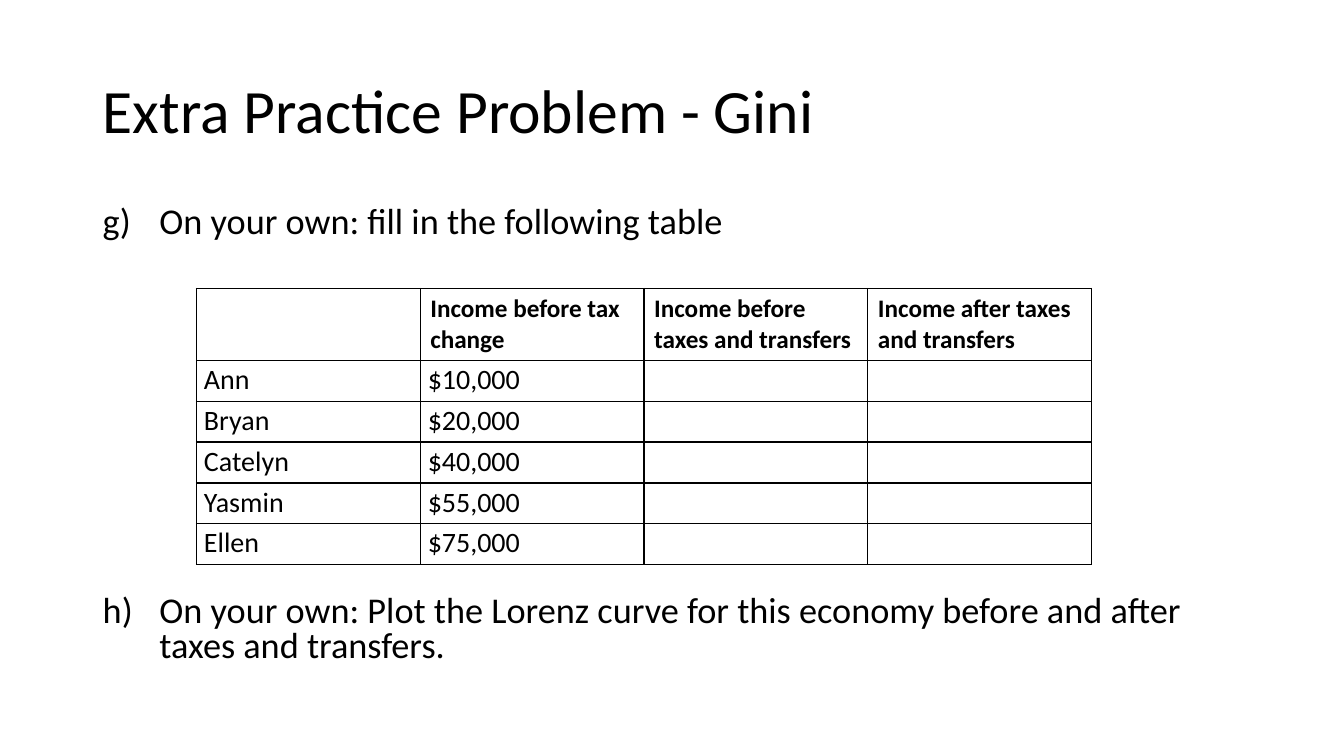
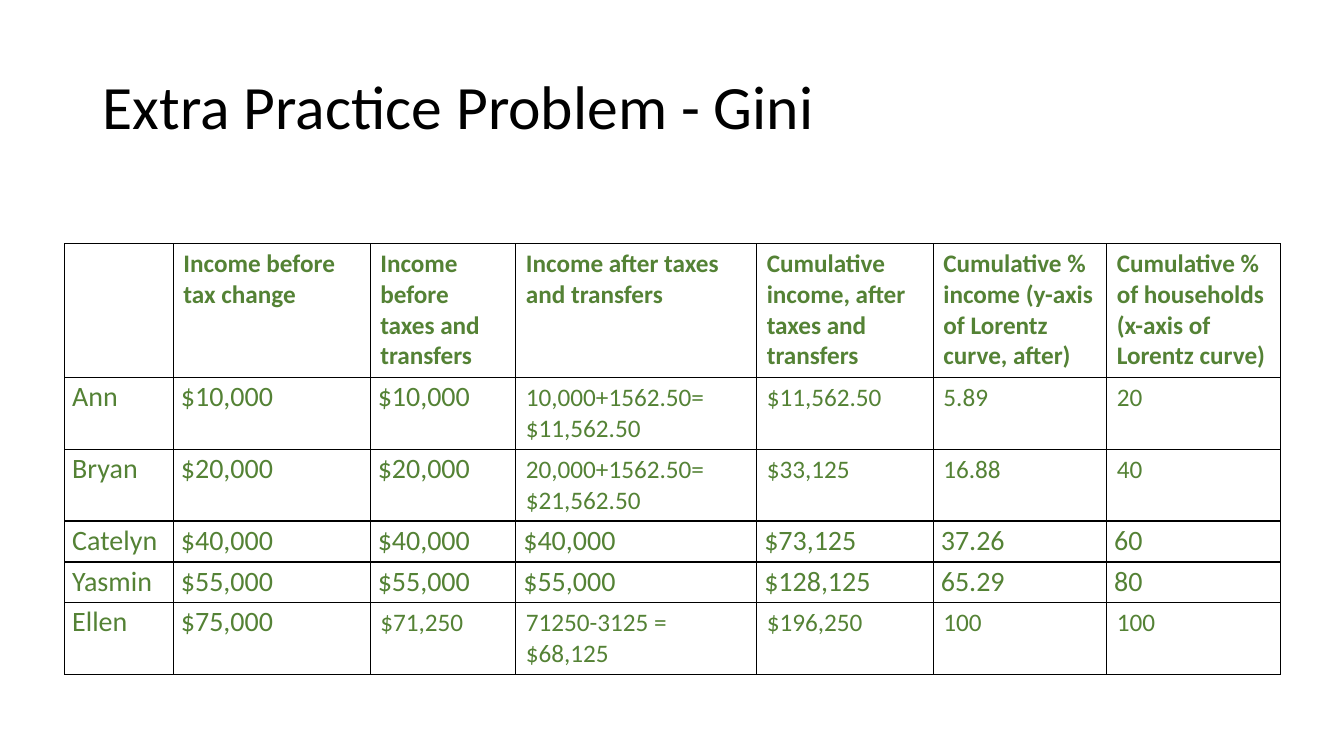
from dataclasses import dataclass

from lxml.etree import SubElement
from pptx import Presentation
from pptx.dml.color import RGBColor
from pptx.enum.text import MSO_ANCHOR
from pptx.oxml.ns import qn
from pptx.slide import Slide
from pptx.util import Cm, Pt

BLACK = RGBColor(0x00, 0x00, 0x00)
GREEN = RGBColor(0x54, 0x82, 0x35)
FONT = "Calibri"
TITLE = "Extra Practice Problem - Gini"
LEFT, WIDTH = 2.34, 29.21  # cm, shared by title and questions


@dataclass
class Row:
    texts: list[str]
    compact: int = 0  # leading cells set larger, with narrow margins
    lines: int = 1
    bold: bool = False


@dataclass
class Grid:
    left: float
    top: float
    cols: list[float]
    color: RGBColor
    rows: list[Row]


def add_run(p, text: str, size: float, color: RGBColor, bold: bool = False) -> None:
    r = p.add_run()
    r.text = text
    r.font.name = FONT
    r.font.size = Pt(size)
    r.font.bold = bold
    r.font.color.rgb = color


def add_box(s: Slide, top: float, height: float):
    tf = s.shapes.add_textbox(Cm(LEFT), Cm(top), Cm(WIDTH), Cm(height)).text_frame
    tf.word_wrap = True
    return tf


def add_title(s: Slide, top: float) -> None:
    tf = add_box(s, top, 3.68)
    tf.vertical_anchor = MSO_ANCHOR.MIDDLE
    p = tf.paragraphs[0]
    p.line_spacing = 0.9
    add_run(p, TITLE, 44, BLACK)


def add_questions(s: Slide, questions: list[tuple[str, float]], start: int) -> None:
    """Lettered questions, each with its space before in points."""
    tf = add_box(s, 5.08, 12.09)
    for i, (text, before) in enumerate(questions):
        p = tf.paragraphs[0] if i == 0 else tf.add_paragraph()
        p.line_spacing = 0.8
        p.space_before = Pt(before)
        pPr = p._p.get_or_add_pPr()
        pPr.set("marL", str(Cm(1.43)))
        pPr.set("indent", str(-Cm(1.43)))
        SubElement(pPr, qn("a:buFont"), typeface="+mj-lt")
        SubElement(pPr, qn("a:buAutoNum"), type="alphaLcParenR", startAt=str(start))
        add_run(p, text, 25.9, BLACK)


def set_borders(cell) -> None:
    tcPr = cell._tc.get_or_add_tcPr()
    for i, side in enumerate(("a:lnL", "a:lnR", "a:lnT", "a:lnB")):
        ln = tcPr.makeelement(qn(side), {"w": str(Pt(1))})
        fill = SubElement(ln, qn("a:solidFill"))
        SubElement(fill, qn("a:srgbClr"), val=str(BLACK))
        tcPr.insert(i, ln)


def fill_cell(cell, text: str, row: Row, compact: bool, color: RGBColor) -> None:
    cell.fill.background()
    set_borders(cell)
    if compact:
        cell.margin_left = cell.margin_right = Cm(0.19)
        cell.margin_top = cell.margin_bottom = 0
    if not text:
        return
    tf = cell.text_frame
    for i, line in enumerate(text.split("\n")):
        p = tf.paragraphs[0] if i == 0 else tf.add_paragraph()
        if compact:
            p.line_spacing = 1.07
        add_run(p, line, 20 if compact else 18, color, row.bold)


def add_grid(s: Slide, g: Grid) -> None:
    heights = [0.25 + 0.78 * row.lines for row in g.rows]
    table = s.shapes.add_table(len(g.rows), len(g.cols), Cm(g.left), Cm(g.top),
                               Cm(sum(g.cols)), Cm(sum(heights))).table
    table.first_row = table.horz_banding = False
    for col, width in zip(table.columns, g.cols):
        col.width = Cm(width)
    for i, row in enumerate(g.rows):
        table.rows[i].height = Cm(heights[i])
        for j in range(len(g.cols)):
            text = row.texts[j] if j < len(row.texts) else ""
            fill_cell(table.cell(i, j), text, row, j < row.compact, g.color)


# Table contents
INCOMES = [("Ann", "$10,000"), ("Bryan", "$20,000"), ("Catelyn", "$40,000"),
           ("Yasmin", "$55,000"), ("Ellen", "$75,000")]
HEADS = ["", "Income before tax change", "Income before taxes and transfers",
         "Income after taxes and transfers"]
MORE_HEADS = ["Cumulative income, after taxes and transfers",
              "Cumulative % income (y-axis of Lorentz curve, after)",
              "Cumulative % of households (x-axis of Lorentz curve)"]
ANSWERS = [
    Row(["$10,000", "10,000+1562.50=\n$11,562.50", "$11,562.50", "5.89", "20"], 3, 2),
    Row(["$20,000", "20,000+1562.50=\n$21,562.50", "$33,125", "16.88", "40"], 3, 2),
    Row(["$40,000", "$40,000", "$73,125", "37.26", "60"], 7),
    Row(["$55,000", "$55,000", "$128,125", "65.29", "80"], 7),
    Row(["$71,250", "71250-3125 =\n$68,125", "$196,250", "100", "100"], 2, 2),
]
EXERCISE = Grid(4.95, 7.27, [5.64] * 4, BLACK,
                [Row(HEADS, lines=2, bold=True)]
                + [Row(list(income), 2) for income in INCOMES])
SOLUTION = Grid(1.63, 6.14, [2.74, 4.96, 3.67, 6.07, 4.45, 4.37, 4.37], GREEN,
                [Row(HEADS + MORE_HEADS, lines=4, bold=True)]
                + [Row([*income, *a.texts], a.compact, a.lines)
                   for income, a in zip(INCOMES, ANSWERS)])


def main() -> None:
    prs = Presentation()
    prs.slide_width, prs.slide_height = Cm(33.87), Cm(19.05)
    blank = prs.slide_layouts[6]

    # Exercise
    s = prs.slides.add_slide(blank)
    add_title(s, 1.02)
    add_questions(s, [
        ("On your own: fill in the following table", 10),
        ("On your own: Plot the Lorenz curve for this economy before and after "
         "taxes and transfers.", 253),
    ], start=7)
    add_grid(s, EXERCISE)

    # Solution
    s = prs.slides.add_slide(blank)
    add_title(s, 0.91)
    add_grid(s, SOLUTION)

    prs.save("out.pptx")


if __name__ == "__main__":
    main()
